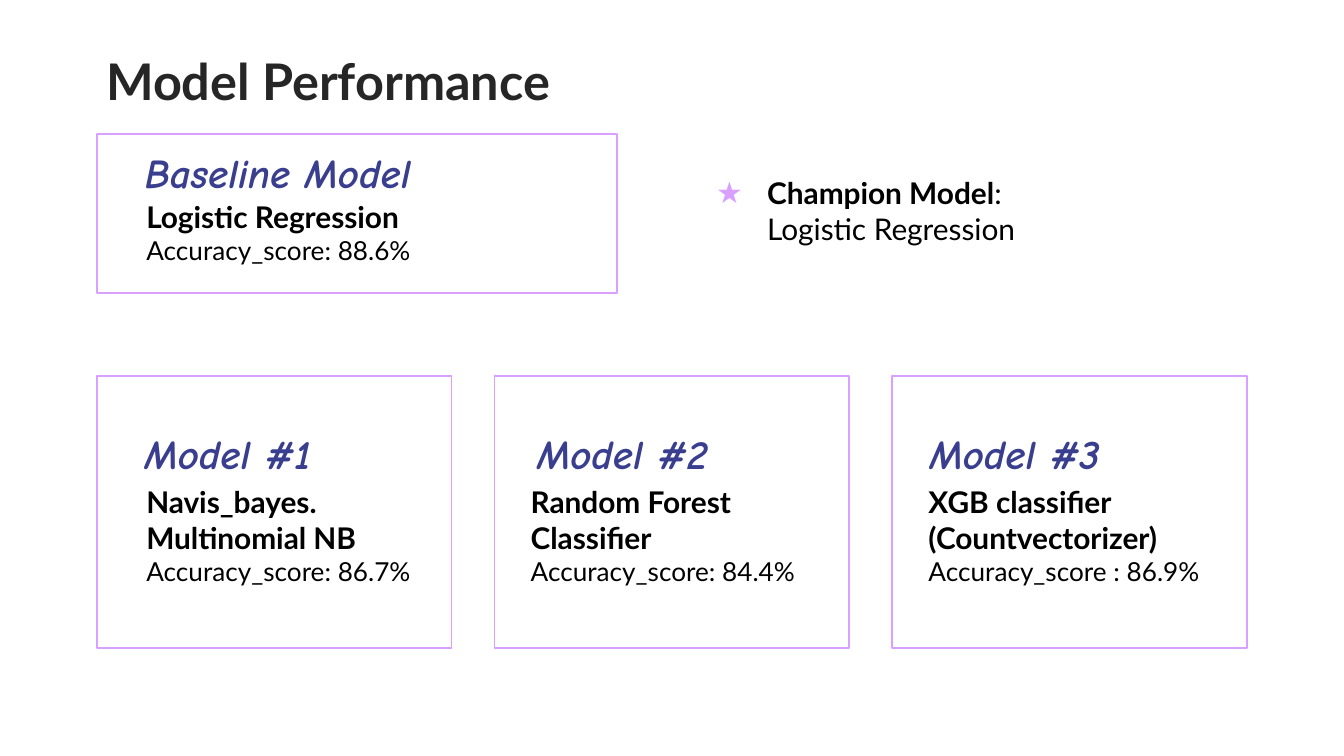
from lxml import etree
from pptx import Presentation
from pptx.dml.color import RGBColor
from pptx.enum.shapes import MSO_SHAPE
from pptx.oxml.ns import qn
from pptx.util import Inches, Pt

RECT = MSO_SHAPE.RECTANGLE
LILAC, INDIGO, BLACK, DARK, WHITE = "D9A0FF", "393E8F", "000000", "262626", "FFFFFF"


def color(code):
    return RGBColor.from_string(code)


class Deck:
    """Holds the style and the current slide, and draws each kind of element."""

    body = "Lato"
    script = "Comic Neue"

    def __init__(self, wide, high):
        self.prs = Presentation()
        self.prs.slide_width = Inches(wide)
        self.prs.slide_height = Inches(high)
        self.slide = self.prs.slides.add_slide(self.prs.slide_layouts[6])

    def frame(self, *box):
        shape = self.slide.shapes.add_shape(RECT, *map(Inches, box))
        shape.shadow.inherit = False
        shape.fill.solid()
        shape.fill.fore_color.rgb = color(WHITE)
        shape.line.color.rgb = color(LILAC)
        shape.line.width = Pt(1)

    def label(self, box, lines, side=0.1, edge=0.1):
        shape = self.slide.shapes.add_textbox(*map(Inches, box))
        text = shape.text_frame
        text.word_wrap = True
        text.margin_left = text.margin_right = Inches(side)
        text.margin_top = text.margin_bottom = Inches(edge)
        text.text = "\n".join(lines)
        return text.paragraphs

    def style(self, run, size, bold=True, hue=BLACK, face=body, slant=False):
        font = run.font
        font.name = face
        font.size = Pt(size)
        font.bold = bold
        font.italic = slant
        font.color.rgb = color(hue)

    def title(self, box, words):
        line, = self.label(box, [words], 0.07, 0.04)
        self.style(line.runs[0], 27, hue=DARK)

    def heading(self, box, words):
        line, = self.label(box, [words])
        self.style(line.runs[0], 22, hue=INDIGO, face=self.script, slant=True)

    def result(self, box, model, score):
        name, rate = self.label(box, [model, score])
        self.style(name.runs[0], 16)
        self.style(rate.runs[0], 14, bold=False)

    def indent(self, line, left, first):
        props = line._p.get_or_add_pPr()
        props.set("marL", str(Inches(left)))
        props.set("indent", str(Inches(first)))
        return props

    def champion(self, box, label, model):
        head, name = self.label(box, [label, model])
        props = self.indent(head, 0.5, -0.38)
        tint = etree.SubElement(props, qn("a:buClr"))
        etree.SubElement(tint, qn("a:srgbClr"), val=LILAC)
        etree.SubElement(props, qn("a:buFont"), typeface=self.body)
        etree.SubElement(props, qn("a:buChar"), char="★")
        self.indent(name, 0, 0.5)
        head.add_run().text = ":"
        self.style(head.runs[0], 16)
        for run in (head.runs[1], name.runs[0]):
            self.style(run, 16, bold=False)

    def save(self):
        self.prs.save("out.pptx")


def main():
    deck = Deck(10, 10 * 9 / 16)
    deck.title((0.72, 0.33, 4.98, 0.67), "Model Performance")

    models = [
        (0.98, 0.99, 2.37, "Navis_bayes. Multinomial NB", "Accuracy_score: 86.7%"),
        (3.9, 3.85, 2.48, "Random Forest Classifier", "Accuracy_score: 84.4%"),
        (6.82, 6.81, 2.48, "XGB classifier (Countvectorizer)", "Accuracy_score : 86.9%"),
    ]
    for i in range(len(models)):
        deck.frame(0.72 + 2.96 * i, 2.8, 2.64, 2.02)
    for _, left, wide, model, score in models:
        deck.result((left, 3.5, wide, 0.98), model, score)
    for i, (left, *_) in enumerate(models, 1):
        deck.heading((left, 3.09, 1.8, 0.57), f"Model #{i}")

    deck.champion((5.11, 1.2, 4.18, 0.77), "Champion Model", "Logistic Regression")

    deck.frame(0.72, 1, 3.87, 1.18)
    deck.result((0.99, 1.38, 3.47, 0.71), "Logistic Regression", "Accuracy_score: 88.6%")
    deck.heading((0.98, 1, 2.65, 0.57), "Baseline Model")
    deck.save()


if __name__ == "__main__":
    main()
